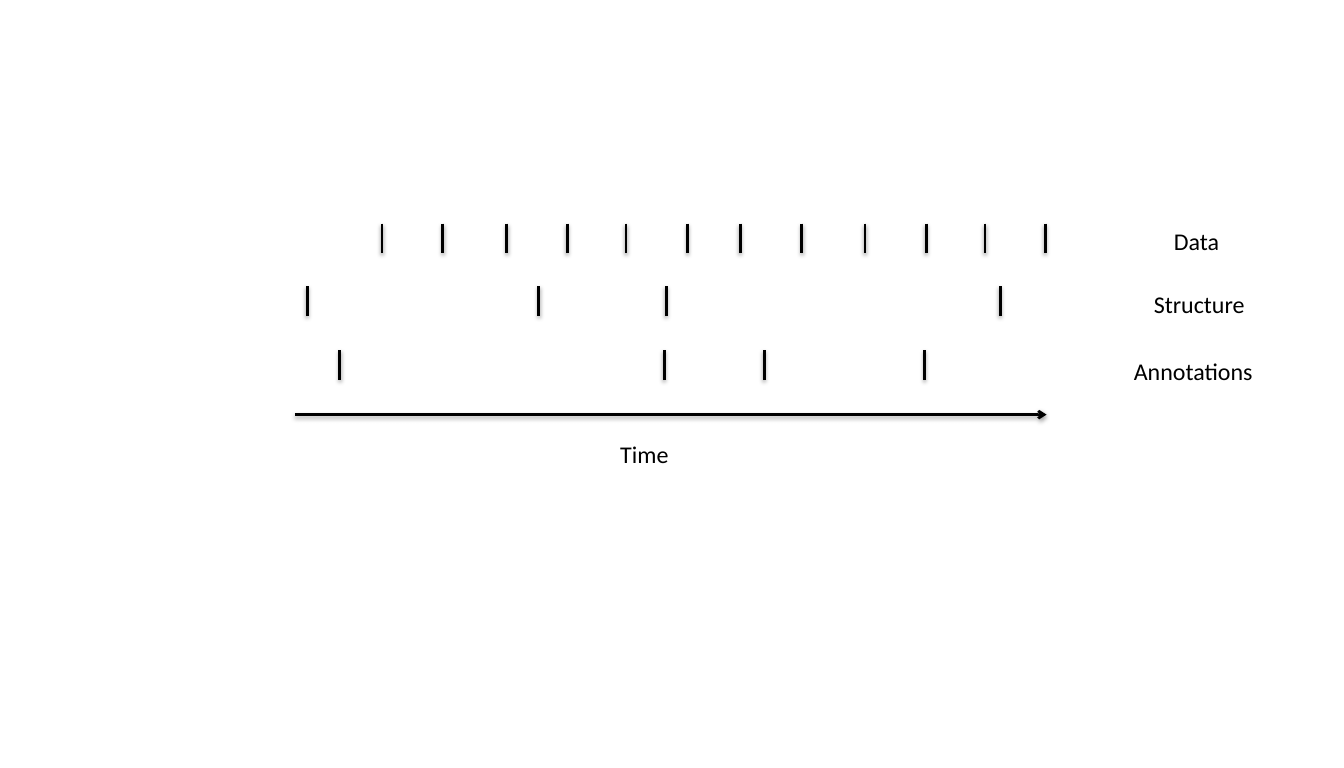
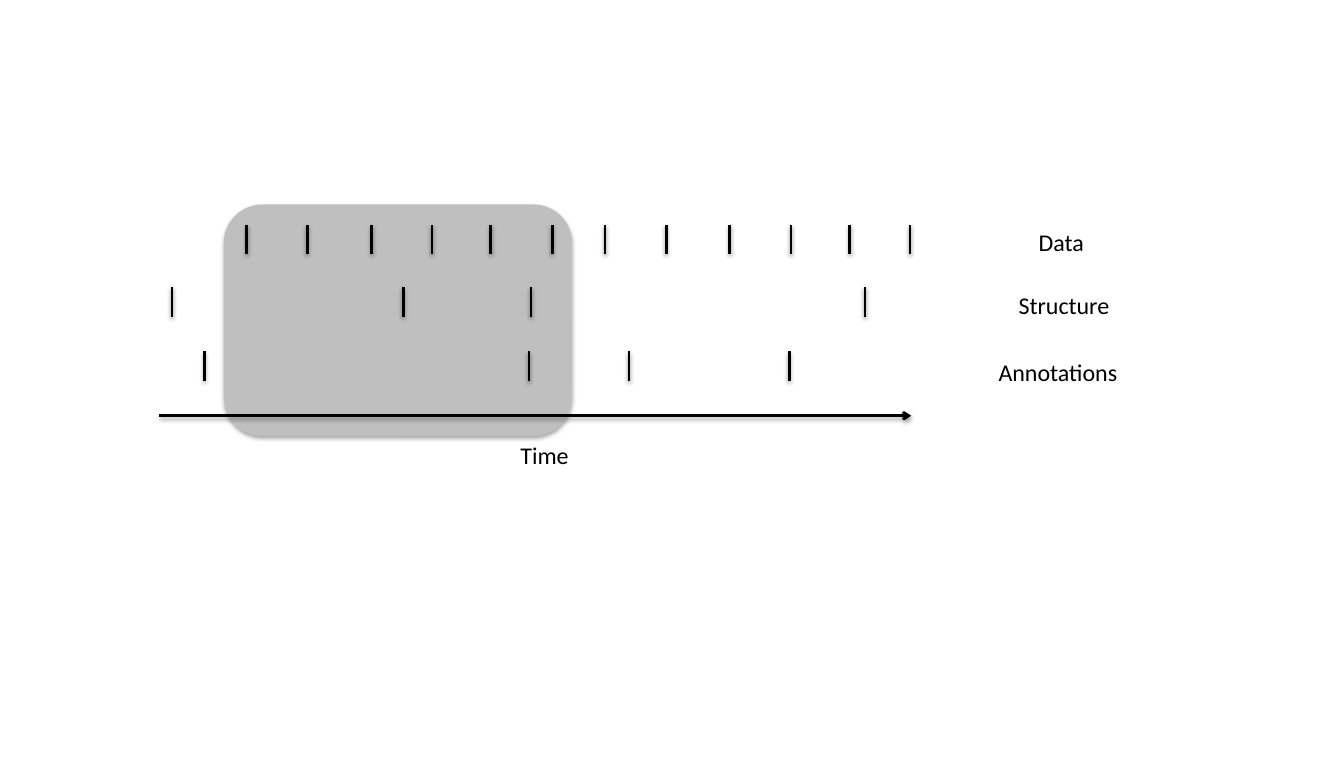
from dataclasses import dataclass

from lxml import etree
from pptx import Presentation
from pptx.dml.color import RGBColor
from pptx.enum import shapes, text
from pptx.oxml.ns import qn
from pptx.util import Cm, Pt


@dataclass(frozen=True)
class Theme:
    ink: str = "000000"
    window: str = "BFBFBF"
    window_edge: str = "EEECE1"
    font: str = "Calibri"
    size: float = 18
    stroke: float = 2
    window_stroke: float = 0.75


THEME = Theme()

# All lengths are centimetres; offsets count from the start of the time axis.
AXIS_LENGTH = 19.89
TICK_HEIGHT = 0.78
LABEL_HEIGHT = 1.02

# Name, tick top, tick positions, label (left, top, width)
TRACKS = [
    ("Data", -5.05,
     [2.31, 3.91, 5.61, 7.21, 8.76, 10.39, 11.79, 13.41, 15.09, 16.71, 18.26, 19.86],
     (23.01, -5.1, 1.73)),
    ("Structure", -3.4, [0.33, 6.45, 9.83, 18.67], (22.48, -3.43, 2.95)),
    ("Annotations", -1.7, [1.19, 9.78, 12.42, 16.66], (21.95, -1.67, 3.71)),
]
TIME_TOP, TIME_WIDTH = 0.53, 1.8

# Window is (left, top, width, height) on the slide
SLIDES = [
    {"axis": (7.8, 10.97), "time_left": 8.36, "window": None},
    {"axis": (4.22, 11), "time_left": 9.3, "window": (5.92, 5.41, 9.22, 6.12)},
]


def add_shadow(shape, opacity, distance):
    """Cast a soft black shadow straight down; opacity in percent, distance in points."""
    effects = etree.SubElement(shape.element.spPr, qn("a:effectLst"))
    shadow = etree.SubElement(effects, qn("a:outerShdw"), blurRad=str(Pt(3.1)),
                              dist=str(Pt(distance)), dir="5400000", rotWithShape="0")
    color = etree.SubElement(shadow, qn("a:srgbClr"), val=THEME.ink)
    etree.SubElement(color, qn("a:alpha"), val=str(opacity * 1000))


def add_line(slide, x1, y1, x2, y2, arrow=False):
    line = slide.shapes.add_connector(
        shapes.MSO_CONNECTOR.STRAIGHT, Cm(x1), Cm(y1), Cm(x2), Cm(y2))
    line.line.color.rgb = RGBColor.from_string(THEME.ink)
    line.line.width = Pt(THEME.stroke)
    if arrow:
        ln = line.element.spPr.find(qn("a:ln"))
        etree.SubElement(ln, qn("a:tailEnd"), type="arrow")
    add_shadow(line, 38, 1.6)


def add_label(slide, words, left, top, width):
    box = slide.shapes.add_textbox(Cm(left), Cm(top), Cm(width), Cm(LABEL_HEIGHT))
    tf = box.text_frame
    tf.word_wrap = False
    tf.auto_size = text.MSO_AUTO_SIZE.SHAPE_TO_FIT_TEXT
    r = tf.paragraphs[0].add_run()
    r.text = words
    r.font.name = THEME.font
    r.font.size = Pt(THEME.size)
    r.font.color.rgb = RGBColor.from_string(THEME.ink)


def add_window(slide, bounds):
    """Highlight a span of time behind the tracks."""
    sp = slide.shapes.add_shape(shapes.MSO_SHAPE.ROUNDED_RECTANGLE, *map(Cm, bounds))
    sp.fill.solid()
    sp.fill.fore_color.rgb = RGBColor.from_string(THEME.window)
    sp.line.color.rgb = RGBColor.from_string(THEME.window_edge)
    sp.line.width = Pt(THEME.window_stroke)
    edge = sp.element.spPr.find(qn("a:ln")).find(".//" + qn("a:srgbClr"))
    etree.SubElement(edge, qn("a:alpha"), val="10000")
    add_shadow(sp, 35, 1.8)


def add_timeline(slide, axis, time_left, window):
    x, y = axis
    if window:
        add_window(slide, window)
    for name, tick_top, ticks, (left, top, width) in TRACKS:
        for tick in ticks:
            add_line(slide, x + tick, y + tick_top, x + tick, y + tick_top + TICK_HEIGHT)
        add_label(slide, name, x + left, y + top, width)
    add_line(slide, x, y, x + AXIS_LENGTH, y, arrow=True)
    add_label(slide, "Time", x + time_left, y + TIME_TOP, TIME_WIDTH)


def main():
    prs = Presentation()
    prs.slide_width, prs.slide_height = Cm(35.56), Cm(20.32)
    blank = prs.slide_layouts[6]
    for content in SLIDES:
        add_timeline(prs.slides.add_slide(blank), **content)
    prs.save("out.pptx")


if __name__ == "__main__":
    main()
